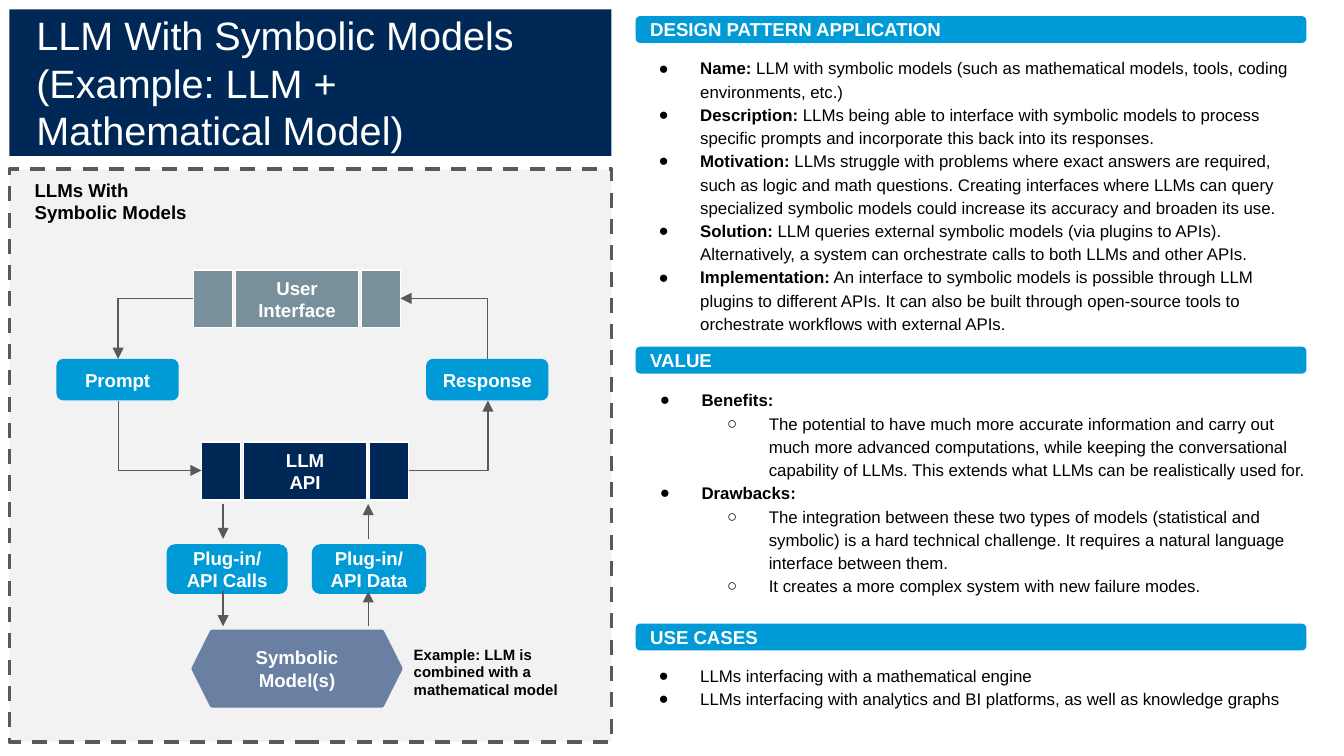
from dataclasses import dataclass

from lxml.etree import SubElement
from pptx import Presentation
from pptx.dml.color import RGBColor
from pptx.enum.dml import MSO_LINE
from pptx.enum.shapes import MSO_CONNECTOR, MSO_SHAPE
from pptx.enum.text import MSO_ANCHOR, MSO_AUTO_SIZE, PP_ALIGN
from pptx.oxml.ns import qn
from pptx.util import Inches, Pt


@dataclass(frozen=True)
class Theme:
    """Colours, font and type sizes of the slide."""
    navy: str = "002856"
    blue: str = "009AD7"
    grey_blue: str = "78909C"
    slate: str = "6A80A3"
    panel: str = "F2F2F2"
    line: str = "595959"
    white: str = "FFFFFF"
    black: str = "000000"
    font: str = "Arial"
    title: float = 21.2
    label: float = 10
    body: float = 9
    note: float = 8


T = Theme()
ROUND, RECT = MSO_SHAPE.ROUNDED_RECTANGLE, MSO_SHAPE.RECTANGLE

PATTERN = [
    (0, "Name: ", "LLM with symbolic models (such as mathematical models, tools, coding environments, etc.)"),
    (0, "Description: ", "LLMs being able to interface with symbolic models to process specific prompts "
     "and incorporate this back into its responses."),
    (0, "Motivation: ", "LLMs struggle with problems where exact answers are required, such as logic and "
     "math questions. Creating interfaces where LLMs can query specialized symbolic models could "
     "increase its accuracy and broaden its use."),
    (0, "Solution: ", "LLM queries external symbolic models (via plugins to APIs). Alternatively, a system "
     "can orchestrate calls to both LLMs and other APIs."),
    (0, "Implementation:", " An interface to symbolic models is possible through LLM plugins to different "
     "APIs. It can also be built through open-source tools to orchestrate workflows with external APIs."),
]
VALUE = [
    (0, "Benefits:", ""),
    (1, "", "The potential to have much more accurate information and carry out much more advanced "
     "computations, while keeping the conversational capability of LLMs. This extends what LLMs can be "
     "realistically used for."),
    (0, "Drawbacks:", ""),
    (1, "", "The integration between these two types of models (statistical and symbolic) is a hard "
     "technical challenge. It requires a natural language interface between them."),
    (1, "", "It creates a more complex system with new failure modes."),
]
USE_CASES = [
    (0, "", "LLMs interfacing with a mathematical engine"),
    (0, "", "LLMs interfacing with analytics and BI platforms, as well as knowledge graphs"),
]


def rgb(color):
    """Turn a hex string into a colour."""
    return RGBColor.from_string(color)


def style_run(r, size, color, bold):
    """Set the font of a run."""
    r.font.name, r.font.size, r.font.bold = T.font, Pt(size), bold
    r.font.color.rgb = rgb(color)


def set_frame(tf, anchor, dx, dy):
    """Set wrapping, anchor and insets of a text frame."""
    tf.word_wrap, tf.vertical_anchor = True, anchor
    tf.margin_left = tf.margin_right = Inches(dx)
    tf.margin_top = tf.margin_bottom = Inches(dy)


def write(tf, text, size, color, bold=True, align=PP_ALIGN.LEFT):
    """Fill a text frame with uniformly formatted text."""
    tf.text = text
    for p in tf.paragraphs:
        p.alignment = align
        for r in p.runs:
            style_run(r, size, color, bold)


def place(sp, box):
    """Move and size a shape."""
    sp.left, sp.top, sp.width, sp.height = map(Inches, box)


def add_box(shapes, kind, box, fill, text="", line=None, width=0.75,
            align=PP_ALIGN.CENTER, insets=(0.1, 0.1)):
    """Add a filled preset shape with an optional label."""
    sp = shapes.add_shape(kind, *map(Inches, box))
    sp.shadow.inherit = False
    sp.fill.solid()
    sp.fill.fore_color.rgb = rgb(fill)
    if line:
        sp.line.color.rgb, sp.line.width = rgb(line), Pt(width)
    else:
        sp.line.fill.background()
    if text:
        set_frame(sp.text_frame, MSO_ANCHOR.MIDDLE, *insets)
        write(sp.text_frame, text, T.label, T.white, align=align)
    return sp


def add_process(shapes, x, y, fill, text):
    """Add a grouped box with a label between two side panels."""
    group = shapes.add_group_shape()
    for dx, w, label in ((0.31, 0.92, text), (1.25, 0.29, ""), (0, 0.29, "")):
        add_box(group.shapes, RECT, (x + dx, y, w, 0.43), fill, label, T.white, insets=(0.07, 0.04))


def add_caption(shapes, box, text, size):
    """Add a bold black text box."""
    tf = shapes.add_textbox(*map(Inches, box)).text_frame
    set_frame(tf, MSO_ANCHOR.TOP, 0.1, 0.1)
    write(tf, text, size, T.black)


def add_arrow(shapes, kind, start, end):
    """Add a connector with an arrowhead at its end."""
    s = shapes.add_connector(kind, *map(Inches, (*start, *end)))
    s.line.color.rgb, s.line.width = rgb(T.line), Pt(0.75)
    SubElement(s.line._get_or_add_ln(), qn("a:tailEnd"), type="triangle")
    SubElement(s._element.spPr, qn("a:effectLst"))
    return s


def add_elbow(shapes, start, end, vertical_first):
    """Add a one-corner arrow, turned a quarter when it leaves vertically."""
    (x1, y1), (x2, y2) = start, end
    if vertical_first:
        cx, cy, dx, dy = (x1 + x2) / 2, (y1 + y2) / 2, (y2 - y1) / 2, (x1 - x2) / 2
        start, end = (cx - dx, cy - dy), (cx + dx, cy + dy)
    s = add_arrow(shapes, MSO_CONNECTOR.ELBOW, start, end)
    s._element.spPr.find(qn("a:prstGeom")).set("prst", "bentConnector2")
    if vertical_first:
        s.rotation = 90


def fill_title(sp):
    """Format the title placeholder as a navy banner."""
    place(sp, (0.07, 0.07, 4.48, 1.09))
    sp.fill.solid()
    sp.fill.fore_color.rgb = rgb(T.navy)
    tf = sp.text_frame
    set_frame(tf, MSO_ANCHOR.MIDDLE, 0, 0)
    tf.auto_size = MSO_AUTO_SIZE.NONE
    write(tf, "LLM With Symbolic Models (Example: LLM +\nMathematical Model)", T.title, T.white, False)
    for p in tf.paragraphs:
        p.line_spacing, p.space_before = 1.0, Pt(0)
        p._p.get_or_add_pPr().set("marL", str(Inches(0.2)))


def fill_list(sp, box, items):
    """Format a body placeholder as a two-level bulleted list."""
    place(sp, box)
    tf = sp.text_frame
    set_frame(tf, MSO_ANCHOR.TOP, 0.1, 0.05)
    tf.auto_size = MSO_AUTO_SIZE.NONE
    for i, (level, lead, text) in enumerate(items):
        p = tf.paragraphs[0] if i == 0 else tf.add_paragraph()
        p.level, p.line_spacing, p.space_before = level, 1.15, Pt(0)
        pPr = p._p.get_or_add_pPr()
        pPr.set("marL", str(Inches(0.5 + 0.5 * level)))
        pPr.set("indent", str(Inches(-0.31)))
        SubElement(SubElement(pPr, qn("a:buClr")), qn("a:srgbClr"), val=T.black)
        SubElement(pPr, qn("a:buFont"), typeface=T.font)
        SubElement(pPr, qn("a:buChar"), char="●○"[level])
        for part, bold in ((lead, True), (text, False)):
            if part:
                r = p.add_run()
                r.text = part
                style_run(r, T.body, T.black, bold)


def add_diagram(shapes):
    """Draw the flow between the user, the LLM and the symbolic models."""
    panel = add_box(shapes, RECT, (0.07, 1.26, 4.48, 4.26), T.panel, line=T.line, width=2)
    panel.line.dash_style = MSO_LINE.DASH
    add_process(shapes, 1.44, 2.01, T.grey_blue, "User Interface")
    add_process(shapes, 1.5, 3.29, T.navy, "LLM\nAPI")
    add_box(shapes, MSO_SHAPE.HEXAGON, (1.44, 4.7, 1.54, 0.55), T.slate, "Symbolic\nModel(s)",
            T.slate, 2.25, insets=(0.07, 0.04))
    add_caption(shapes, (0.16, 1.23, 1.36, 0.54), "LLMs With Symbolic Models", T.label)
    for box, text in (((0.42, 2.67, 0.91, 0.31), "Prompt"),
                      ((3.17, 2.67, 0.91, 0.31), "Response"),
                      ((1.24, 4.05, 0.9, 0.37), "Plug-in/\vAPI Calls"),
                      ((2.32, 4.05, 0.85, 0.37), "Plug-in/\vAPI Data")):
        add_box(shapes, ROUND, box, T.blue, text)
    for top in (3.75, 4.4):
        add_arrow(shapes, MSO_CONNECTOR.STRAIGHT, (1.66, top), (1.66, top + 0.26))
        add_arrow(shapes, MSO_CONNECTOR.STRAIGHT, (2.74, top + 0.26), (2.74, top))
    add_elbow(shapes, (1.44, 2.22), (0.88, 2.67), False)
    add_elbow(shapes, (0.88, 2.98), (1.5, 3.5), True)
    add_elbow(shapes, (3.04, 3.5), (3.63, 2.98), False)
    add_elbow(shapes, (3.63, 2.67), (2.98, 2.22), True)
    add_caption(shapes, (2.98, 4.7, 1.48, 0.61), "Example: LLM is combined with a mathematical model", T.note)


def main():
    """Build and save the slide."""
    prs = Presentation()
    prs.slide_width = Inches(10)
    prs.slide_height = Inches(10 * 9 / 16)
    slide = prs.slides.add_slide(prs.slide_layouts.get_by_name("Comparison"))
    title, *bodies, spare = slide.placeholders
    spare._element.getparent().remove(spare._element)
    fill_title(title)
    sections = (("DESIGN PATTERN APPLICATION", 0.12, (4.61, 0.36, 5.15, 2.19), PATTERN),
                ("VALUE", 2.58, (4.62, 2.83, 5.23, 1.67), VALUE),
                ("USE CASES", 4.64, (4.61, 4.88, 5.13, 0.45), USE_CASES))
    for body, (heading, top, box, items) in zip(bodies, sections):
        add_box(slide.shapes, ROUND, (4.73, top, 4.99, 0.2), T.blue, heading, align=PP_ALIGN.LEFT)
        fill_list(body, box, items)
    add_diagram(slide.shapes)
    prs.save("out.pptx")


if __name__ == "__main__":
    main()
